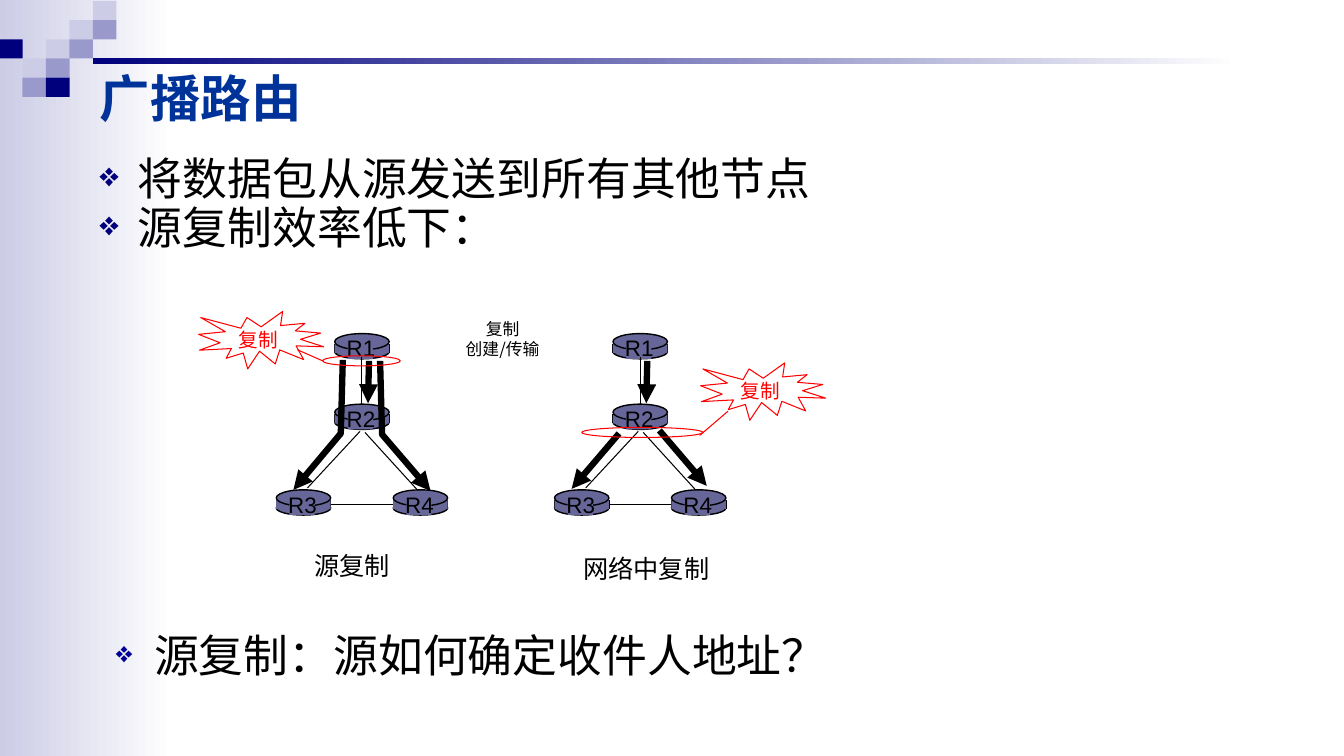
from lxml.etree import SubElement
from pptx import Presentation
from pptx.dml.color import RGBColor
from pptx.enum.shapes import MSO_CONNECTOR as Connector, MSO_SHAPE as Shape
from pptx.enum.text import MSO_ANCHOR as Anchor, PP_ALIGN as Align
from pptx.oxml.ns import qn
from pptx.util import Inches, Pt

CJK = "Noto Sans CJK SC"
BLACK, RED, STEEL = "000000", "FF0000", "666699"
NAVY, LAVENDER, PALE = "00007D", "9999CC", "CCCCE6"


def color(value):
    return RGBColor.from_string(value)


def write(box, text, size=18, ink=BLACK, font=CJK, bold=False,
          align=Align.CENTER, anchor=Anchor.TOP, wrap=False, bullet=None):
    """Write one paragraph per line; bullet is (colour, percent)."""
    frame = box.text_frame
    frame.word_wrap, frame.vertical_anchor = wrap, anchor
    for index, line in enumerate(text.split("\n")):
        para = frame.add_paragraph() if index else frame.paragraphs[0]
        para.alignment = align
        span = para.add_run()
        span.text = line
        span.font.size, span.font.bold, span.font.name = Pt(size), bold, font
        span.font.color.rgb = color(ink)
        SubElement(span.font._element, qn("a:ea"), typeface=font)
        if bullet:
            para.line_spacing, para.space_before = 0.9, Pt(0)
            props = para._p.get_or_add_pPr()
            props.set("marL", str(Inches(0.38)))
            props.set("indent", str(-Inches(0.38)))
            tint = SubElement(props, qn("a:buClr"))
            SubElement(tint, qn("a:srgbClr"), val=bullet[0])
            SubElement(props, qn("a:buSzPct"), val=str(bullet[1] * 1000))
            SubElement(props, qn("a:buChar"), char="❖")


class Slide:
    def __init__(self, deck):
        self.page = deck.slides.add_slide(deck.slide_layouts[5])
        self.shapes = self.page.shapes

    def outline(self, item, ink, width, arrow=False):
        item.line.color.rgb, item.line.width = color(ink), Pt(width)
        if arrow:
            SubElement(item.line._get_or_add_ln(), qn("a:tailEnd"), type="triangle")

    def title(self, text, *place):
        box = self.shapes.title
        box.left, box.top, box.width, box.height = map(Inches, place)
        write(box, text, 36, "003399", bold=True, align=Align.LEFT,
              anchor=Anchor.MIDDLE, wrap=True)
        self.shapes.element.append(box.element)  # bring in front of the side band

    def text(self, text, *place, **style):
        write(self.shapes.add_textbox(*map(Inches, place)), text, **style)

    def shape(self, kind, *place, fill=None, ink=None, width=0.75):
        item = self.shapes.add_shape(kind, *map(Inches, place))
        item.shadow.inherit = False
        if isinstance(fill, tuple):
            item.fill.gradient()
            item.fill.gradient_angle = 0
            for stop, value in zip(item.fill.gradient_stops, fill):
                stop.color.rgb = color(value)
        elif fill:
            item.fill.solid()
            item.fill.fore_color.rgb = color(fill)
        else:
            item.fill.background()
        if ink:
            self.outline(item, ink, width)
        else:
            item.line.fill.background()
        return item

    def line(self, *ends, ink=BLACK, width=0.75, arrow=False):
        link = self.shapes.add_connector(Connector.STRAIGHT, *map(Inches, ends))
        self.outline(link, ink, width, arrow)
        SubElement(link._element.spPr, qn("a:effectLst"))
        return link

    def flow(self, *points):
        """Thick arrow through the given points."""
        start, *rest = [tuple(map(Inches, point)) for point in points]
        builder = self.shapes.build_freeform(*start)
        builder.add_line_segments(rest, close=False)
        item = builder.convert_to_shape()
        item.shadow.inherit = False
        item.fill.background()
        self.outline(item, BLACK, 4.5, arrow=True)

    def router(self, name, x, y):
        rim = dict(fill=STEEL, ink=BLACK, width=1)
        self.shape(Shape.OVAL, x, y + 0.01, 0.54, 0.14, **rim)
        for side in (x, x + 0.54):
            self.line(side, y, side, y + 0.09, width=1)
        body = self.shape(Shape.RECTANGLE, x, y, 0.54, 0.09, fill=STEEL)
        self.shape(Shape.OVAL, x, y - 0.1, 0.54, 0.16, **rim)
        self.shape(Shape.RECTANGLE, x + 0.13, y - 0.08, 0.25, 0.23, fill=STEEL)
        self.text(name, x + 0.02, y - 0.14, 0.48, 0.37, size=16, font="Arial")
        return body

    def network(self, x):
        """Four routers and their links; x is the left side of R1."""
        self.router("R1", x, 3.41)
        self.router("R2", x, 4.11)
        left = self.router("R3", x - 0.58, 4.96)
        right = self.router("R4", x + 0.58, 4.96)
        self.line(x + 0.27, 3.54, x + 0.27, 4.01)
        self.line(x + 0.25, 4.28, x - 0.27, 4.84)
        self.line(x + 0.3, 4.29, x + 0.81, 4.85)
        link = self.line(x - 0.04, 5, x + 0.58, 5)
        link.begin_connect(left, 3)
        link.end_connect(right, 1)
        self.line(x + 0.34, 3.58, x + 0.33, 4, width=4.5, arrow=True)

    def burst(self, x, y, ring, pointer):
        """Red burst, the ring it marks and the line between them."""
        self.shape(Shape.EXPLOSION1, x, y, 1.24, 0.57, ink=RED)
        self.text("复制", x + 0.3, y + 0.11, 0.6, 0.34, size=14, ink=RED,
                  align=Align.LEFT)
        self.shape(Shape.OVAL, *ring, ink=RED)
        self.line(*pointer, ink=RED)


def main():
    deck = Presentation()
    deck.slide_width, deck.slide_height = Inches(13.33), Inches(7.5)
    slide = Slide(deck)

    # Side band, corner mosaic and rule
    slide.shape(Shape.RECTANGLE, 0, 0, 1.73, 7.5, fill=(PALE, "FFFFFF"))
    mosaic = {(4, 0): PALE, (3, 1): PALE, (4, 1): LAVENDER,
              (0, 2): NAVY, (2, 2): PALE, (3, 2): LAVENDER,
              (1, 3): PALE, (2, 3): LAVENDER, (1, 4): LAVENDER, (2, 4): NAVY}
    for (column, row), fill in mosaic.items():
        slide.shape(Shape.RECTANGLE, -0.01 + 0.2325 * column, 0.01 + 0.19 * row,
                    0.235, 0.19, fill=fill)
    slide.shape(Shape.RECTANGLE, 0.92, 0.58, 11.37, 0.06, fill=(NAVY, "FFFFFF"))

    # Source duplication
    slide.network(3.32)
    slide.flow((3.77, 3.58), (3.79, 4.31), (4.27, 4.87))
    slide.flow((3.4, 3.57), (3.38, 4.3), (2.91, 4.86))
    slide.burst(1.97, 3.09, (3.2, 3.53, 0.77, 0.1), (3.2, 3.58, 2.95, 3.47))
    slide.text("源复制", 3.01, 5.41, 0.96, 0.4)

    # In-network duplication
    slide.network(6.08)
    slide.flow((6.54, 4.27), (7.01, 4.82))
    slide.flow((6.14, 4.3), (5.67, 4.85))
    slide.burst(6.95, 3.6, (5.77, 4.24, 1.2, 0.1), (7.22, 4.08, 6.94, 4.32))
    slide.text("网络中复制", 5.68, 5.44, 1.46, 0.4)
    slide.text("复制\n创建/传输", 4.51, 3.11, 0.95, 0.51, size=12, wrap=True)

    # Title and bullets
    slide.title("广播路由", 0.89, 0.46, 5.65, 1.01)
    points = dict(size=32, align=Align.LEFT, wrap=True)
    slide.text("将数据包从源发送到所有其他节点\n源复制效率低下：",
               0.89, 1.51, 9.38, 1.06, bullet=(NAVY, 75), **points)
    slide.text("源复制：源如何确定收件人地址？",
               1.05, 6.24, 8.88, 1.06, bullet=("000099", 65), **points)

    deck.save("out.pptx")


if __name__ == "__main__":
    main()
